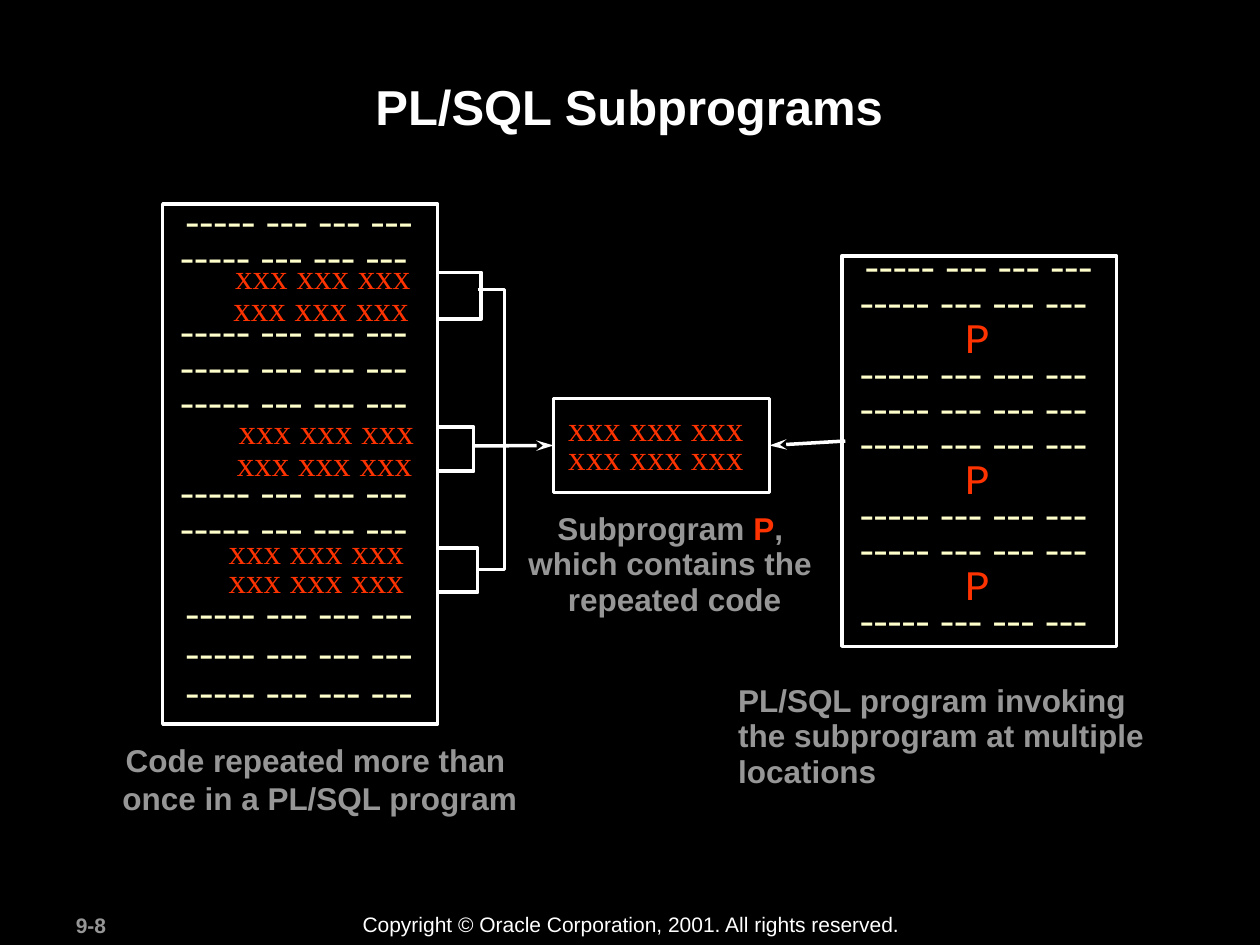
"""Build the PL/SQL Subprograms slide."""
from pptx import Presentation
from pptx.dml.color import RGBColor
from pptx.enum.shapes import MSO_CONNECTOR as Connector, MSO_SHAPE as Shape
from pptx.enum.text import MSO_ANCHOR as Anchor, PP_ALIGN as Align
from pptx.oxml.ns import qn
from pptx.util import Cm, Pt
from lxml.etree import SubElement

WHITE, GREY, CREAM, RED, BLACK = "FFFFFF", "969696", "FFFFCC", "FF3300", "000000"


def color(value):
    return RGBColor.from_string(value)


def set_all(target, values):
    for name, value in values.items():
        setattr(target, name, value)


class Painter:
    def __init__(self, slide):
        self.slide = slide
        self.line_width = Pt(2)
        self.inset = Cm(0.25)
        self.styles = {
            "title": dict(name="Arial", size=Pt(28), bold=True, color=WHITE),
            "label": dict(name="Arial", size=Pt(18), bold=True, color=GREY),
            "label red": dict(name="Arial", size=Pt(18), bold=True, color=RED),
            "number": dict(name="Arial", size=Pt(12), bold=True, color=GREY),
            "footer": dict(name="Arial", size=Pt(12), color=WHITE),
            "dashes": dict(name="Times New Roman", size=Pt(24), color=CREAM),
            "code": dict(name="Times New Roman", size=Pt(20), color=RED),
            "code space": dict(name="Times New Roman", size=Pt(24), color=RED),
            "call": dict(name="Courier New", size=Pt(24), color=RED),
        }
        slide.background.fill.solid()
        slide.background.fill.fore_color.rgb = color(BLACK)

    def place(self, shape, box):
        set_all(shape, dict(zip(("left", "top", "width", "height"), map(Cm, box))))

    def add_run(self, paragraph, text, style):
        run = paragraph.add_run()
        run.text = text
        values = dict(self.styles[style])
        run.font.color.rgb = color(values.pop("color"))
        set_all(run.font, values)

    def title(self, box, text):
        shape = self.slide.shapes.title
        self.place(shape, box)
        self.fill_frame(shape.text_frame, [text], "title", Align.CENTER)

    def text(self, box, lines, style, align=Align.LEFT, **options):
        shape = self.slide.shapes.add_textbox(*map(Cm, box))
        self.fill_frame(shape.text_frame, lines, style, align, **options)

    def fill_frame(self, frame, lines, style, align, pitch=None, gaps=None, inset=None, indent=0):
        inset = self.inset if inset is None else Cm(inset)
        set_all(frame, dict(word_wrap=True, vertical_anchor=Anchor.TOP, margin_left=inset,
                            margin_right=0 if align == Align.LEFT else inset,
                            margin_top=Cm(0.13), margin_bottom=Cm(0.13)))
        for index, line in enumerate(lines):
            paragraph = frame.paragraphs[0] if index == 0 else frame.add_paragraph()
            set_all(paragraph, dict(alignment=align, space_before=Pt(gaps[index] if gaps else 0)))
            if pitch:
                paragraph.line_spacing = Pt(pitch)
            if indent:
                paragraph._p.get_or_add_pPr().set("marL", str(Cm(indent)))
            for text, run_style in [(line, style)] if isinstance(line, str) else line:
                self.add_run(paragraph, text, run_style)

    def outline(self, shape):
        shape.shadow.inherit = False
        shape.fill.background()
        self.stroke(shape.line)
        return shape

    def stroke(self, line):
        line.color.rgb = color(WHITE)
        line.width = self.line_width

    def frame(self, box):
        return self.outline(self.slide.shapes.add_shape(Shape.RECTANGLE, *map(Cm, box)))

    def bracket(self, left, top, right, bottom):
        builder = self.slide.shapes.build_freeform(Cm(left), Cm(top), scale=1.0)
        corners = [(right, top), (right, bottom), (left, bottom)]
        builder.add_line_segments([(Cm(x), Cm(y)) for x, y in corners], close=False)
        self.outline(builder.convert_to_shape())

    def arrow(self, start, target, side):
        x, y = map(Cm, start)
        connector = self.slide.shapes.add_connector(Connector.STRAIGHT, x, y, x, y)
        connector.end_connect(target, side)
        self.stroke(connector.line)
        SubElement(connector.line._get_or_add_ln(), qn("a:tailEnd"), type="stealth", len="lg")
        SubElement(connector._element.spPr, qn("a:effectLst"))


def main():
    presentation = Presentation()
    set_all(presentation, dict(slide_width=Cm(25.4), slide_height=Cm(19.05)))
    painter = Painter(presentation.slides.add_slide(presentation.slide_layouts[5]))
    painter.text((1.28, 18.26, 2.67, 0.76), ["9-8"], "number")
    painter.text((7.06, 18.24, 11.38, 0.76),
                 ["Copyright © Oracle Corporation, 2001. All rights reserved."], "footer")
    painter.title((2.4, 1.42, 20.57, 2.44), "PL/SQL Subprograms")

    dashes = "----- --- --- ---"
    first, inner = f" {dashes} ", f"{dashes} "
    painter.frame((3.28, 4.11, 5.54, 10.49))
    painter.text((3.25, 4.08, 5.56, 10.52), [first] + [inner] * 6 + [dashes] * 3, "dashes",
                 Align.CENTER, pitch=20.2, gaps=[0, 0, 22.4, 0, 0, 31.5, 0, 28.4, 2.5, 2.5])
    code = "xxx xxx xxx"
    repeated = [[(" ", "code space"), (code, "code")], f" {code}"]
    for left, top in ((4.28, 5.26), (4.35, 8.38)):
        painter.text((left, top, 4.27, 1.5), repeated, "code", pitch=17.6)
    painter.text((3.48, 10.79, 4.93, 1.45), [code] * 2, "code", pitch=16.8, indent=0.88)
    painter.text((2.21, 14.79, 8.48, 1.73),
                 ["Code repeated more than ", "once in a PL/SQL program"],
                 "label", Align.CENTER, pitch=22, inset=0.1)

    for corners in ((9.63, 5.84, 10.17, 11.48), (8.86, 5.49, 9.7, 6.43),
                    (8.79, 8.61, 9.55, 9.5), (8.86, 11.05, 9.63, 11.94)):
        painter.bracket(*corners)
    painter.text((10.4, 10.47, 6.4, 2.03),
                 [[("Subprogram ", "label"), ("P", "label red"), (", ", "label")],
                  "which contains the ", "repeated code"],
                 "label", Align.CENTER, pitch=12, gaps=[0, 8.2, 8.2], inset=0.1)
    subprogram = painter.frame((11.16, 8.03, 4.35, 1.9))
    painter.text((11.03, 8.31, 4.22, 1.45), [f" {code}"] * 2, "code", pitch=16.8)

    painter.frame((16.97, 5.16, 5.54, 7.87))
    painter.text((16.95, 4.99, 5.56, 8.04), [first] + [inner] * 7, "dashes", Align.CENTER,
                 pitch=20.2, gaps=[0, 0, 20.2, 0, 0, 20.2, 0, 20.2])
    painter.arrow((9.55, 8.99), subprogram, 1)
    painter.arrow((17.04, 8.89), subprogram, 3)
    painter.text((14.63, 13.94, 9.37, 2.01),
                 ["PL/SQL program invoking", "the subprogram at multiple", "locations"],
                 "label", pitch=12, gaps=[0, 8.2, 8.2])
    painter.text((19.2, 6.43, 1.37, 5.94), ["P"] * 3, "call", pitch=20.8, gaps=[0, 60, 39.4])
    presentation.save("out.pptx")


if __name__ == "__main__":
    main()
